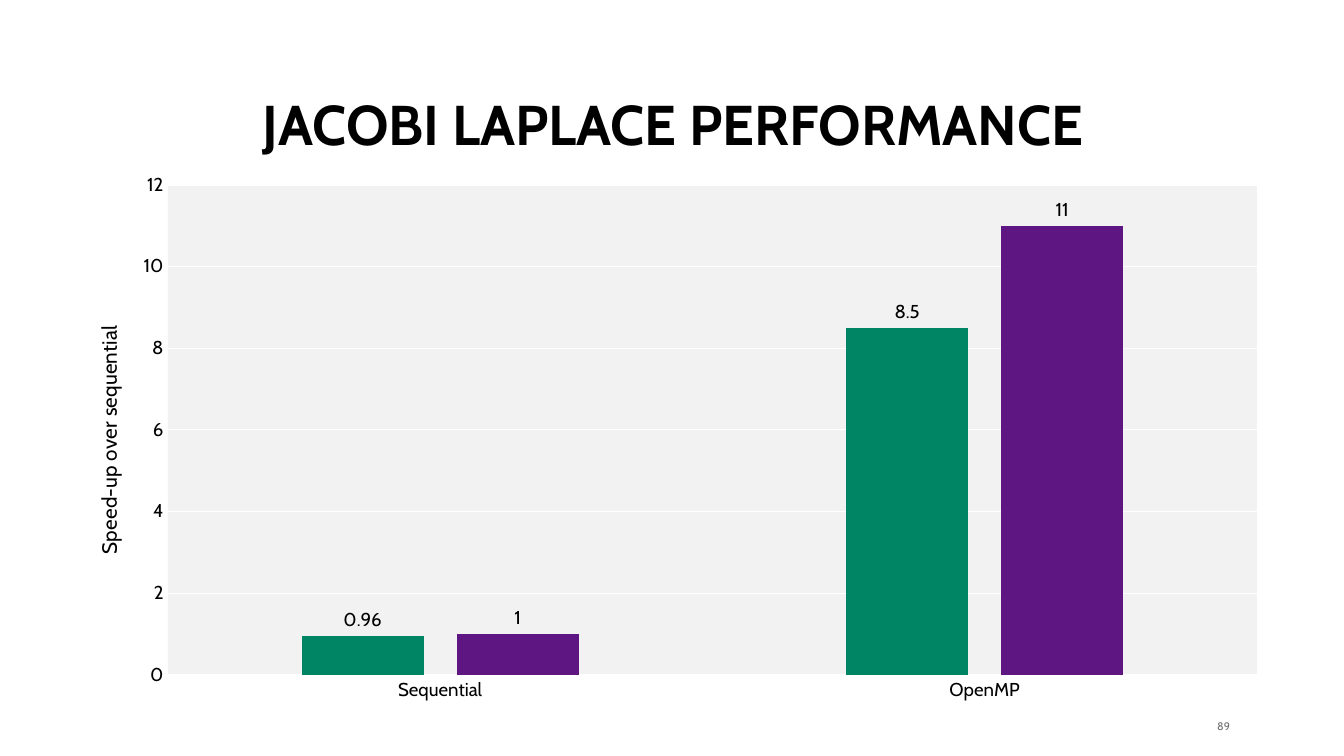
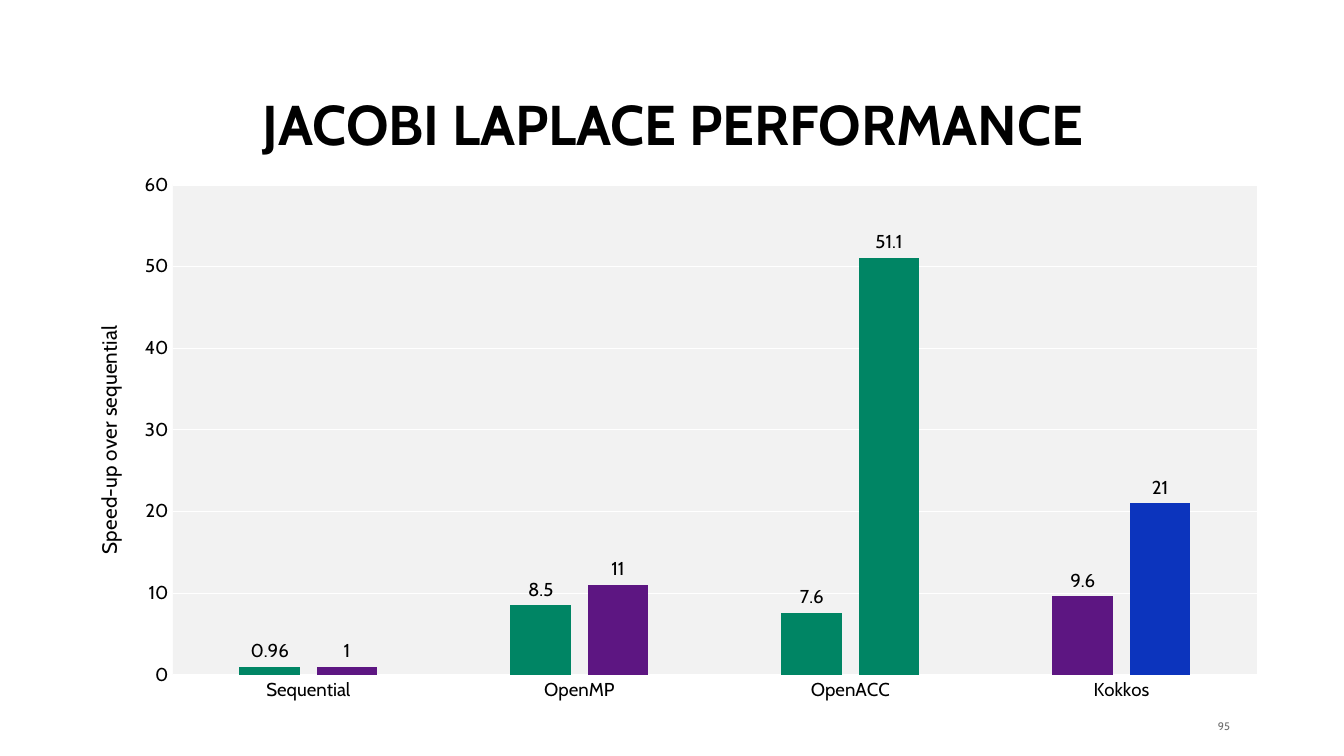
import pptx
import pptx.util
import pptx.chart.data
import pptx.dml.color
import pptx.enum.chart
import pptx.enum.text
import pptx.oxml
import pptx.oxml.ns

BLACK, WHITE, GREY, PLOT_GREY = "000000", "FFFFFF", "6E6E6E", "F2F2F2"
GREEN, PURPLE, BLUE = "008564", "5D1682", "0C34BD"
FONT = "Cabin"
PX_PER_INCH = 112

# Frames as left, top, width, height
TITLE_FRAME = (62, 91, 1222, 73)
NUMBER_FRAME = (1194, 718, 36, 17)
CHART_FRAME = (64, 162, 1219, 550)
PLOT_TOP, PLOT_RIGHT, PLOT_BOTTOM = 185, 1257, 675
AXIS_TITLE_LEFT, AXIS_TITLE_TOP = 91, 322


def px(length):
    return pptx.util.Emu(round(length * 914400 / PX_PER_INCH))


def color(value):
    return pptx.dml.color.RGBColor.from_string(value)


def format_font(font, size, fill=BLACK, bold=False):
    font.name = FONT
    font.size = pptx.util.Pt(size)
    font.bold = bold
    font.color.rgb = color(fill)


def write_text(text_frame, text, align="CENTER", line_spacing=None, **font_format):
    paragraph = text_frame.paragraphs[0]
    paragraph.alignment = getattr(pptx.enum.text.PP_ALIGN, align)
    if line_spacing:
        paragraph.line_spacing = line_spacing
    run = paragraph.add_run()
    run.text = text
    format_font(run.font, **font_format)


def fill_solid(fill, value):
    fill.solid()
    fill.fore_color.rgb = color(value)


def style_line(line, value):
    line.color.rgb = color(value)
    line.width = pptx.util.Pt(0.75)


def chart_xml(tag, content):
    namespaces = pptx.oxml.ns.nsdecls("c", "a")
    return pptx.oxml.parse_xml(f"<c:{tag} {namespaces}>{content}</c:{tag}>")


def set_layout(parent, index, target, left, top, width=None, height=None):
    """Place a chart part by slide pixels, as fractions of the chart frame."""
    for layout in parent.findall(pptx.oxml.ns.qn("c:layout")):
        parent.remove(layout)
    chart_left, chart_top, chart_width, chart_height = CHART_FRAME
    parts = f'<c:layoutTarget val="{target}"/>' if target else ""
    parts += '<c:xMode val="edge"/><c:yMode val="edge"/>'
    parts += f'<c:x val="{(left - chart_left) / chart_width:.4f}"/>'
    parts += f'<c:y val="{(top - chart_top) / chart_height:.4f}"/>'
    if width:
        parts += f'<c:w val="{width / chart_width:.4f}"/>'
        parts += f'<c:h val="{height / chart_height:.4f}"/>'
    content = f"<c:manualLayout>{parts}</c:manualLayout>"
    parent.insert(index, chart_xml("layout", content))


class Deck:
    def __init__(self):
        self.presentation = pptx.Presentation()
        self.presentation.slide_width = px(12 * PX_PER_INCH)
        self.presentation.slide_height = px(6.75 * PX_PER_INCH)
        self.slide = None

    def add_slide(self, title, number):
        layout = self.presentation.slide_layouts[6]
        self.slide = self.presentation.slides.add_slide(layout)
        fill_solid(self.slide.background.fill, WHITE)
        self.add_text(NUMBER_FRAME, str(number), "MIDDLE", inset=0,
                      align="RIGHT", size=7, fill=GREY)
        self.add_text(TITLE_FRAME, title, "BOTTOM", inset=6,
                      line_spacing=0.9, size=36, bold=True)

    def add_text(self, frame, text, anchor, inset, **text_format):
        shape = self.slide.shapes.add_textbox(*map(px, frame))
        text_frame = shape.text_frame
        text_frame.word_wrap = True
        text_frame.vertical_anchor = getattr(pptx.enum.text.MSO_ANCHOR, anchor)
        for side in ("left", "top", "right", "bottom"):
            setattr(text_frame, f"margin_{side}", px(inset))
        write_text(text_frame, text, **text_format)

    def add_chart(self, categories, series_values, point_colors, maximum, step, plot_left):
        data = pptx.chart.data.CategoryChartData()
        data.categories = categories
        for index, values in enumerate(series_values, 1):
            data.add_series(f"Series {index}", values)
        chart = self.slide.shapes.add_chart(
            pptx.enum.chart.XL_CHART_TYPE.COLUMN_CLUSTERED,
            *map(px, CHART_FRAME), data).chart
        chart.has_legend = False
        chart.has_title = False
        format_font(chart.font, 10, WHITE)
        self.style_columns(chart.plots[0], point_colors)
        self.style_axes(chart, maximum, step)

        # Plot area
        plot_area = chart.plots[0]._element.getparent()
        set_layout(plot_area, 0, "inner", plot_left, PLOT_TOP,
                   PLOT_RIGHT - plot_left, PLOT_BOTTOM - PLOT_TOP)
        plot_area.append(chart_xml("spPr", f'<a:solidFill><a:srgbClr val="{PLOT_GREY}"/>'
                                           "</a:solidFill><a:ln><a:noFill/></a:ln>"))

    def style_columns(self, plot, point_colors):
        plot.gap_width = 219
        plot.overlap = -27
        plot.vary_by_categories = False
        for index, (series, fill) in enumerate(zip(plot.series, (GREEN, PURPLE))):
            series.invert_if_negative = False
            fill_solid(series.format.fill, fill)
            for point, point_fill in point_colors.get(index, {}).items():
                fill_solid(series.points[point].format.fill, point_fill)
            labels = series.data_labels
            labels.show_value = True
            labels.position = pptx.enum.chart.XL_LABEL_POSITION.OUTSIDE_END
            format_font(labels.font, 12)

    def style_axes(self, chart, maximum, step):
        category_axis, value_axis = chart.category_axis, chart.value_axis
        for axis in (category_axis, value_axis):
            axis.major_tick_mark = pptx.enum.chart.XL_TICK_MARK.NONE
            axis.minor_tick_mark = pptx.enum.chart.XL_TICK_MARK.NONE
            format_font(axis.tick_labels.font, 12)
        style_line(category_axis.format.line, WHITE)
        value_axis.format.line.fill.background()
        value_axis.minimum_scale = 0
        value_axis.maximum_scale = maximum
        value_axis.major_unit = step
        value_axis.has_major_gridlines = True
        style_line(value_axis.major_gridlines.format.line, WHITE)

        # Vertical axis title
        axis_title = value_axis.axis_title
        write_text(axis_title.text_frame, "Speed-up over sequential", size=13.3)
        body = axis_title.text_frame._txBody.find(pptx.oxml.ns.qn("a:bodyPr"))
        body.set("rot", "-5400000")
        body.set("vert", "horz")
        set_layout(axis_title._element, 1, None, AXIS_TITLE_LEFT, AXIS_TITLE_TOP)


def main():
    deck = Deck()
    title = "JACOBI LAPLACE PERFORMANCE"

    # Sequential and OpenMP
    deck.add_slide(title, 89)
    deck.add_chart(["Sequential", "OpenMP"], [(0.96, 8.5), (1, 11)], {},
                   maximum=12, step=2, plot_left=168)

    # All programming models
    deck.add_slide(title, 95)
    deck.add_chart(["Sequential", "OpenMP", "OpenACC", "Kokkos"],
                   [(0.96, 8.5, 7.6, 9.6), (1, 11, 51.1, 21)],
                   {0: {3: PURPLE}, 1: {2: GREEN, 3: BLUE}},
                   maximum=60, step=10, plot_left=173)

    deck.presentation.save("out.pptx")


if __name__ == "__main__":
    main()
